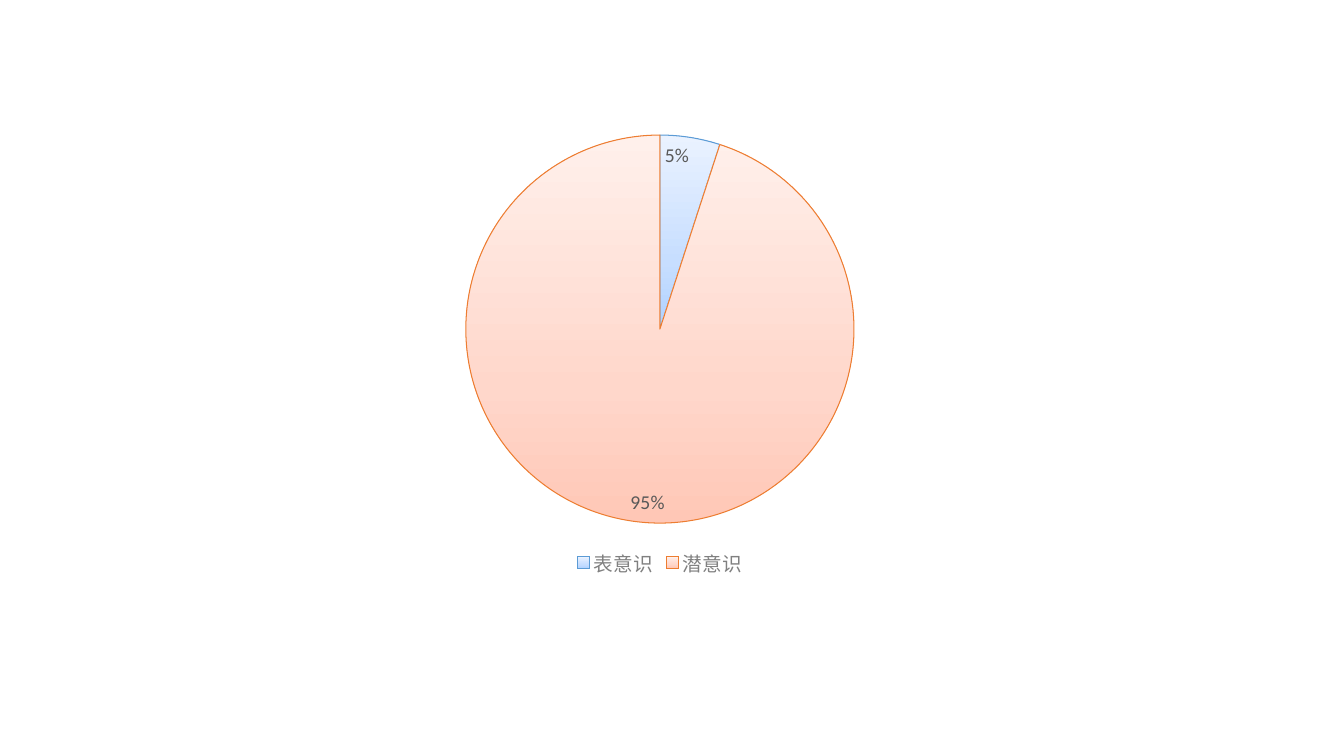
from copy import deepcopy
from lxml import etree
from pptx import Presentation, util as u
from pptx.chart.data import CategoryChartData
from pptx.dml.color import RGBColor
from pptx.enum import chart as ch
from pptx.oxml import parse_xml
from pptx.oxml.ns import nsdecls, qn

COLORS = {"text": "000000", "label": "595959", "legend": "808080",
          "blue": "5B9BD5", "orange": "ED7D31"}
FONTS = {"latin": "Calibri", "cjk": "Noto Sans CJK SC"}
STOPS = (0, 0.35, 1)
MINDS = [
    ("表意识", 0.05, "blue", ("B0D2FF", "C7DEFF", "EAF2FF")),
    ("潜意识", 0.95, "orange", ("FFC7B6", "FFD7CB", "FFF0EB")),
]
CHART_BOX = (3.16, 0.92, 6.77, 4.84)
PIE_BOX = (4.62, 1.34, 3.85, 3.85)


def style_font(font, name, size, color):
    for key, value in {"name": name, "size": u.Pt(size)}.items():
        setattr(font, key, value)
    font.color.rgb = RGBColor.from_string(COLORS[color])


prs = Presentation()
prs.slide_width, prs.slide_height = u.Inches(13.33), u.Inches(7.5)
s = prs.slides.add_slide(prs.slide_layouts[6])

data = CategoryChartData(number_format="0%")
data.categories = [mind[0] for mind in MINDS]
data.add_series("Series 1", [mind[1] for mind in MINDS])
chart = s.shapes.add_chart(ch.XL_CHART_TYPE.PIE,
                           *map(u.Inches, CHART_BOX), data).chart
chart.has_title = False
style_font(chart.font, FONTS["latin"], 10, "text")

chart.has_legend = True
legend = chart.legend
legend.position = ch.XL_LEGEND_POSITION.BOTTOM
legend.include_in_layout = False
style_font(legend.font, FONTS["cjk"], 14, "legend")
for latin in chart._chartSpace.xpath(".//c:legend//a:latin"):
    ea = etree.Element(qn("a:ea"), typeface=FONTS["cjk"])
    latin.addnext(ea)

plot = chart.plots[0]
plot.vary_by_categories = True
plot.has_data_labels = True
labels = plot.data_labels
for key, value in {"show_value": True, "show_percentage": False,
                   "number_format": "0%", "number_format_is_linked": False,
                   "position": ch.XL_LABEL_POSITION.INSIDE_END}.items():
    setattr(labels, key, value)
style_font(labels.font, FONTS["latin"], 14, "label")

for i, (name, share, edge, shades) in enumerate(MINDS):
    fmt = plot.series[0].points[i].format
    fmt.line.color.rgb = RGBColor.from_string(COLORS[edge])
    fmt.line.width = u.Pt(0.75)
    fmt.fill.gradient()
    fmt.fill.gradient_angle = 90
    stops = chart._chartSpace.xpath(".//a:gsLst")[i]
    stops.append(deepcopy(stops[0]))
    for stop, position, shade in zip(fmt.fill.gradient_stops, STOPS, shades):
        stop.position = position
        stop.color.rgb = RGBColor.from_string(shade)

left, top, width, height = CHART_BOX
x, y, w, h = PIE_BOX
place = {"x": (x - left) / width, "y": (y - top) / height,
         "w": w / width, "h": h / height}
modes = '<c:layoutTarget val="inner"/><c:xMode val="edge"/><c:yMode val="edge"/>'
sizes = "".join(f'<c:{key} val="{value:.4f}"/>' for key, value in place.items())
area = chart._chartSpace.xpath(".//c:plotArea")[0]
for old in area.findall(qn("c:layout")):
    area.remove(old)
area.insert(0, parse_xml(f'<c:layout {nsdecls("c")}><c:manualLayout>'
                         f'{modes}{sizes}</c:manualLayout></c:layout>'))

prs.save("out.pptx")
